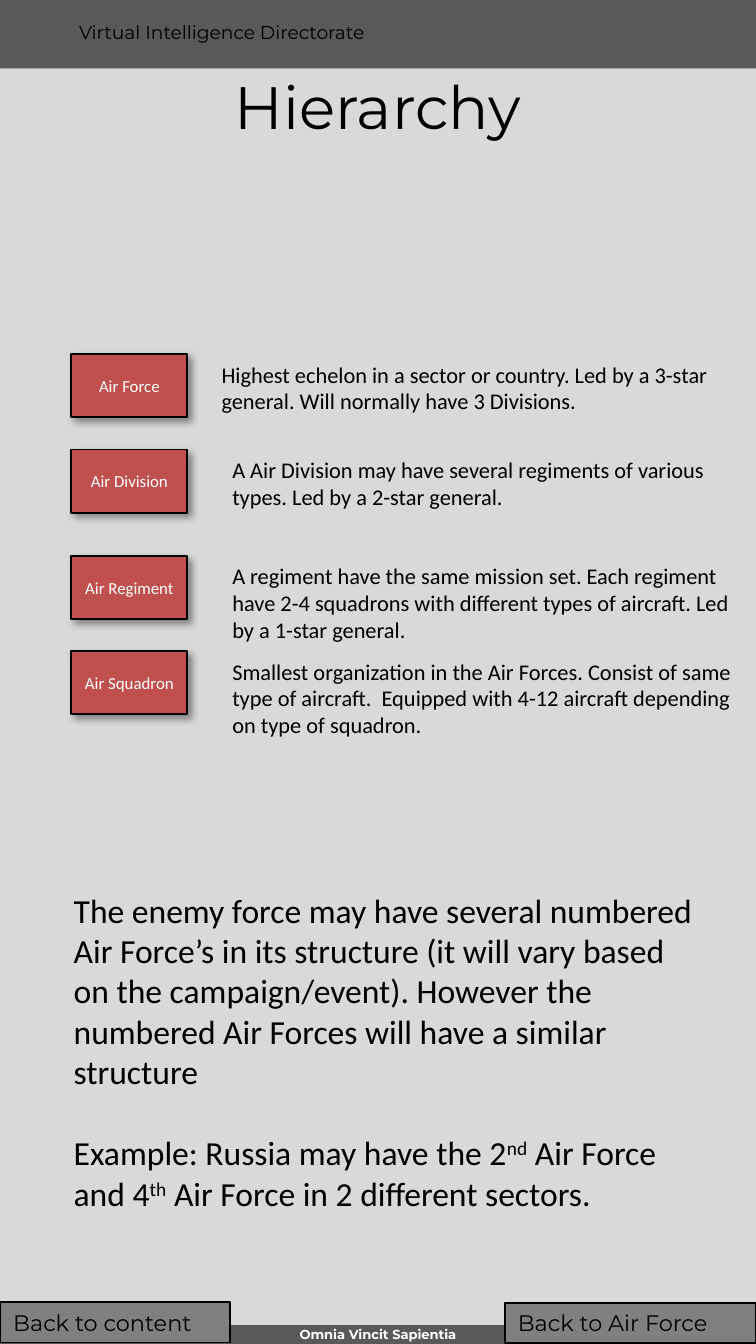
import pptx
import pptx.dml.color
import pptx.enum.shapes
import pptx.enum.text
import pptx.oxml
import pptx.oxml.ns
import pptx.util

PX = 4572
WIDTH, HEIGHT = 1125, 2000
COLORS = {
    "page": "D9D9D9",
    "band": "595959",
    "unit": "C0504D",
    "button": "808080",
    "black": "000000",
    "white": "FFFFFF",
}
ALIGN = pptx.enum.text.PP_ALIGN
ANCHOR = pptx.enum.text.MSO_ANCHOR

UNITS = [
    ("Air Force", 527, 310,
     "Highest echelon in a sector or country. Led by a 3-star general. "
     "Will normally have 3 Divisions."),
    ("Air Division", 669, 326,
     "A Air Division may have several regiments of various types. "
     "Led by a 2-star general."),
    ("Air Regiment", 827, 326,
     "A regiment have the same mission set. Each regiment have 2-4 squadrons "
     "with different types of aircraft. Led by a 1-star general."),
    ("Air Squadron", 969, 326,
     "Smallest organization in the Air Forces. Consist of same type of aircraft.  "
     "Equipped with 4-12 aircraft depending on type of squadron."),
]
SUMMARY = (
    "The enemy force may have several numbered Air Force’s in its structure "
    "(it will vary based on the campaign/event). However the numbered Air Forces "
    "will have a similar structure"
)
EXAMPLE = [
    ("Example: Russia may have the 2", False),
    ("nd", True),
    (" Air Force and 4", False),
    ("th", True),
    (" Air Force in 2 different sectors.", False),
]


def emu(*lengths):
    return [pptx.util.Emu(length * PX) for length in lengths]


def color(name):
    return pptx.dml.color.RGBColor.from_string(COLORS[name])


def add_span(para, text, size=12, font="Calibri", fill="black", bold=False, raised=False):
    span = para.add_run()
    span.text = text
    span.font.size = pptx.util.Pt(size)
    span.font.name = font
    span.font.bold = bold
    span.font.color.rgb = color(fill)
    if raised:
        span.font._element.set("baseline", "30000")


def write(box, text, align=ALIGN.LEFT, anchor=ANCHOR.TOP, inset=None, **style):
    frame = box.text_frame
    frame.word_wrap = True
    frame.auto_size = pptx.enum.text.MSO_AUTO_SIZE.NONE
    frame.vertical_anchor = anchor
    if inset is not None:
        frame.margin_left = frame.margin_right = inset
        frame.margin_top = frame.margin_bottom = inset
    para = frame.paragraphs[0]
    para.alignment = align
    add_span(para, text, **style)


def add_text(page, place, text, **style):
    box = page.shapes.add_textbox(*emu(*place))
    write(box, text, **style)
    return box


def add_box(page, place, fill, outlined=True):
    box = page.shapes.add_shape(pptx.enum.shapes.MSO_SHAPE.RECTANGLE, *emu(*place))
    box.shadow.inherit = False
    box.fill.solid()
    box.fill.fore_color.rgb = color(fill)
    if outlined:
        box.line.color.rgb = color("black")
        box.line.width = pptx.util.Pt(1)
    else:
        box.line.fill.background()
    return box


def add_shadow(box):
    effects = box._element.spPr.find(pptx.oxml.ns.qn("a:effectLst"))
    effects.append(pptx.oxml.parse_xml(
        f'<a:outerShdw {pptx.oxml.ns.nsdecls("a")} blurRad="50800" dist="38100" '
        f'dir="2700000" algn="tl" rotWithShape="0"><a:srgbClr val="{COLORS["black"]}">'
        '<a:alpha val="40000"/></a:srgbClr></a:outerShdw>'))


def add_unit(page, name, top, left, description):
    box = add_box(page, (106, top, 173, 94), "unit")
    add_shadow(box)
    write(box, name, align=ALIGN.CENTER, anchor=ANCHOR.MIDDLE, size=9, fill="white")
    add_text(page, (left, top, WIDTH - left, 94), description)


def add_button(page, place, text):
    write(add_box(page, place, "button"), text, font="Montserrat")


def add_frame(page):
    add_box(page, (0, 0, WIDTH, 102), "band", outlined=False)
    add_box(page, (0, 1972, WIDTH, 28), "band", outlined=False)
    add_text(page, (98, 21, 772, 54), "Virtual Intelligence Directorate",
             size=10, font="Montserrat")
    add_text(page, (0, 1974, WIDTH, 24), "Omnia Vincit Sapientia", align=ALIGN.CENTER,
             inset=0, size=7, font="Montserrat", fill="white", bold=True)


def set_title(page, text):
    title = page.shapes.title
    title.left, title.top, title.width, title.height = emu(0, 102, WIDTH, 110)
    write(title, text, align=ALIGN.CENTER, anchor=ANCHOR.MIDDLE, size=32, font="Montserrat")


def add_summary(page):
    box = add_text(page, (90, 1314, 963, 504), SUMMARY, size=18)
    para = box.text_frame.add_paragraph()
    para.space_before = pptx.util.Pt(22)
    for text, raised in EXAMPLE:
        add_span(para, text, size=18, raised=raised)


def main():
    deck = pptx.Presentation()
    deck.slide_width, deck.slide_height = emu(WIDTH, HEIGHT)
    page = deck.slides.add_slide(deck.slide_layouts[5])
    page.background.fill.solid()
    page.background.fill.fore_color.rgb = color("page")
    add_frame(page)
    set_title(page, "Hierarchy")
    for unit in UNITS:
        add_unit(page, *unit)
    add_summary(page)
    add_button(page, (0, 1938, 342, 60), "Back to content")
    add_button(page, (751, 1939, 374, 60), "Back to Air Force")
    deck.save("out.pptx")


if __name__ == "__main__":
    main()
